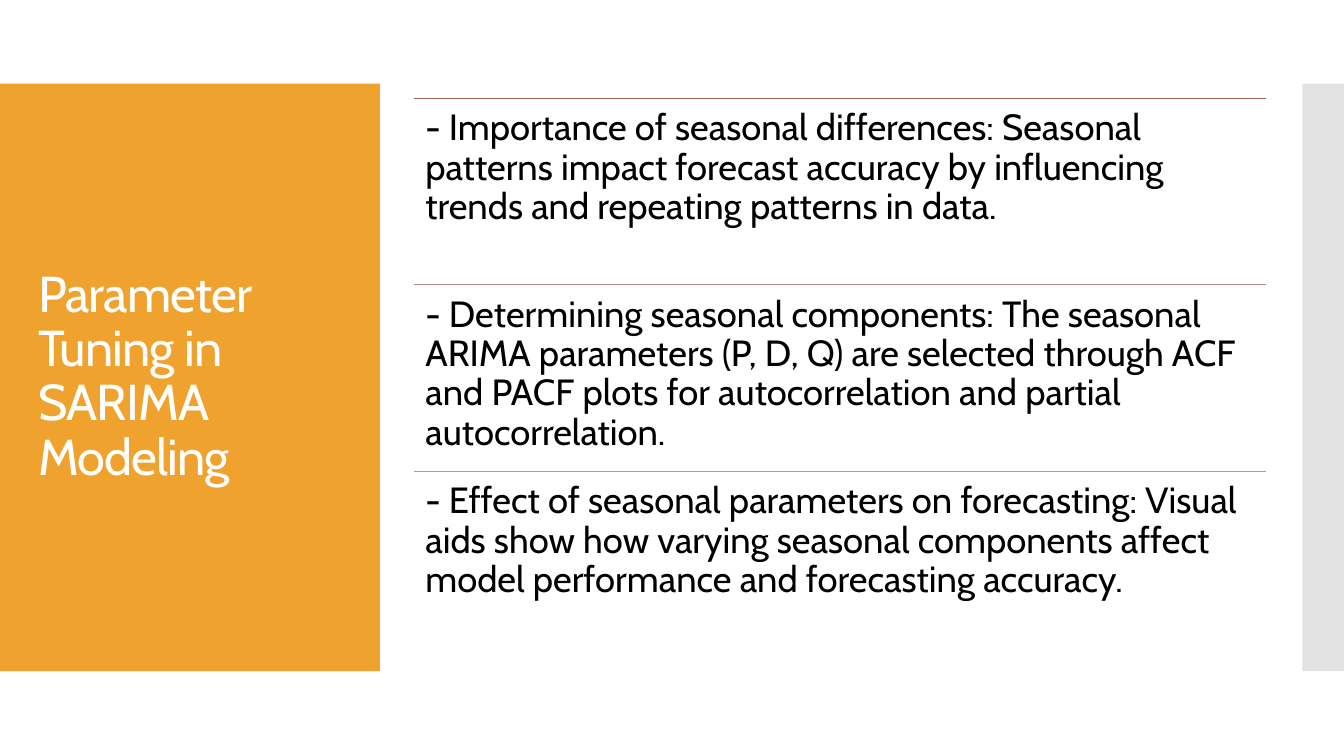
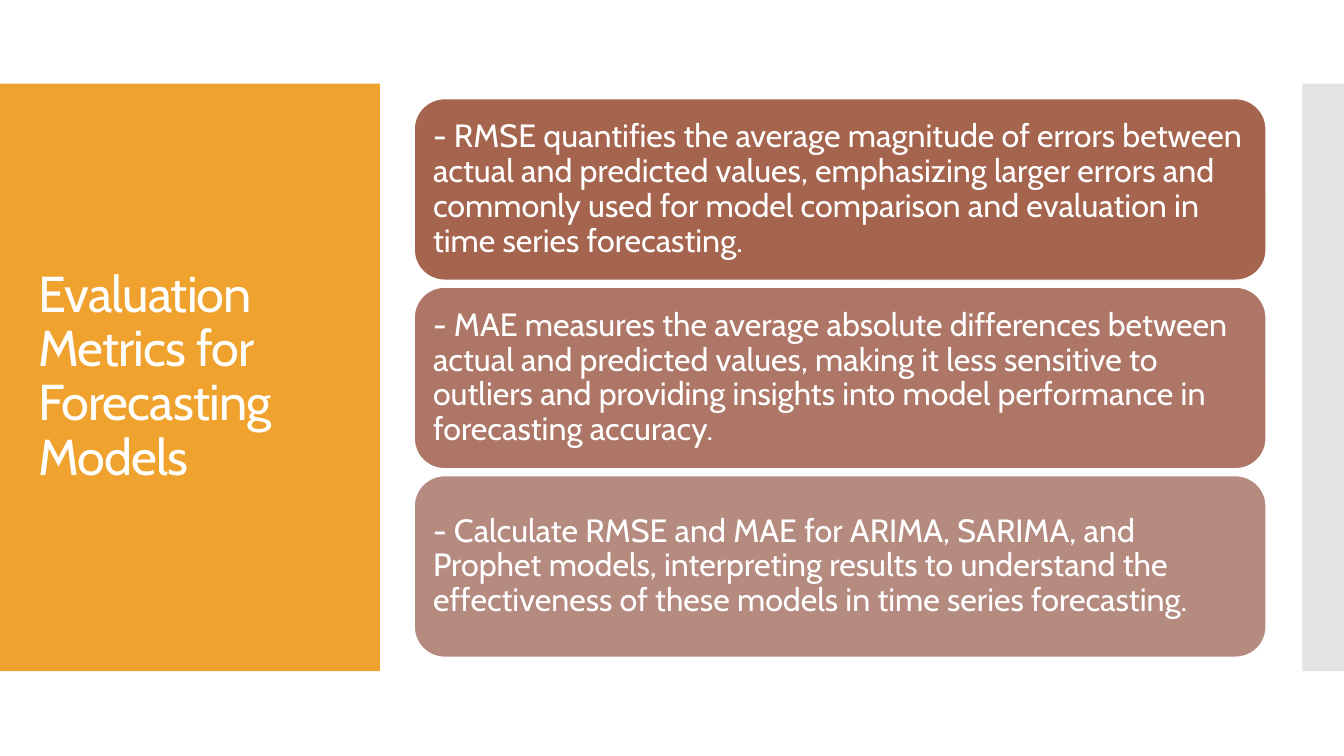
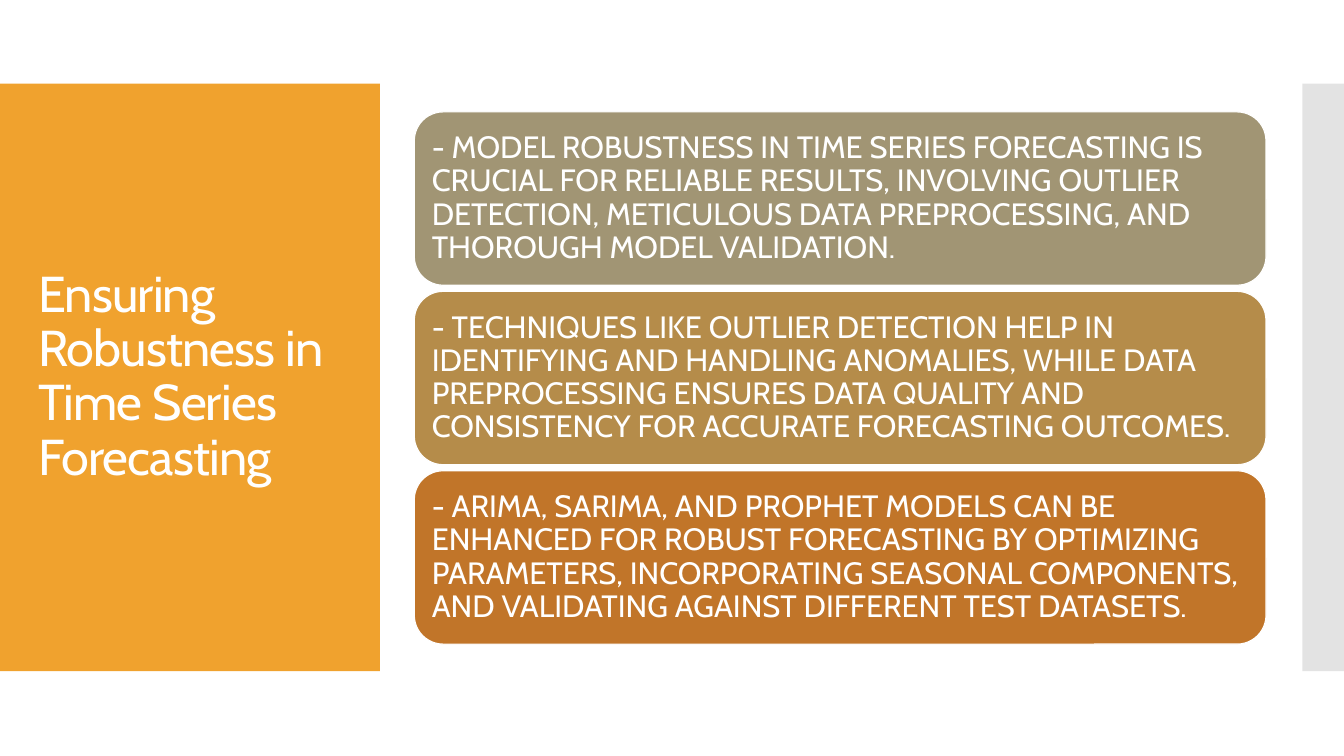
from pptx import Presentation
from pptx.dml.color import RGBColor
from pptx.enum.shapes import MSO_CONNECTOR, MSO_SHAPE
from pptx.enum.text import MSO_ANCHOR, PP_ALIGN
from pptx.oxml.ns import qn
from pptx.util import Pt
from lxml.etree import SubElement

PX = 9144  # 100 px to the inch
FONT = "Cabin"
WHITE = RGBColor(0xFF, 0xFF, 0xFF)
BLACK = RGBColor(0x00, 0x00, 0x00)
ORANGE = RGBColor(0xF0, 0xA2, 0x2E)
GREY = RGBColor(0xC8, 0xC8, 0xC8)
BROWN = RGBColor(0xA5, 0x64, 0x4E)
ROSE = RGBColor(0xAE, 0x76, 0x66)
DUSTY = RGBColor(0xB5, 0x8B, 0x80)
TAN = RGBColor(0xC3, 0x98, 0x6D)
OLIVE = RGBColor(0xA1, 0x95, 0x74)
GOLD = RGBColor(0xB5, 0x8C, 0x4A)
RUST = RGBColor(0xC1, 0x75, 0x29)

BAND_TOP, BAND_H = 83, 583
ROW_LEFT, ROW_W = 411, 845
MIDDLE = 375

# Each slide: title, row style, row height, row step, text size, inset, rows
SLIDES = [
    ("Parameter Tuning in SARIMA Modeling", "ruled", 185, 185, 26, 11, [
        (BROWN, "- Importance of seasonal differences: Seasonal patterns impact forecast "
                "accuracy by influencing trends and repeating patterns in data."),
        (DUSTY, "- Determining seasonal components: The seasonal ARIMA parameters (P, D, Q) "
                "are selected through ACF and PACF plots for autocorrelation and partial "
                "autocorrelation."),
        (TAN, "- Effect of seasonal parameters on forecasting: Visual aids show how varying "
              "seasonal components affect model performance and forecasting accuracy."),
    ]),
    ("Evaluation Metrics for Forecasting Models", "card", 180, 187, 23, 10, [
        (BROWN, "- RMSE quantifies the average magnitude of errors between actual and "
                "predicted values, emphasizing larger errors and commonly used for model "
                "comparison and evaluation in time series forecasting."),
        (ROSE, "- MAE measures the average absolute differences between actual and predicted "
               "values, making it less sensitive to outliers and providing insights into "
               "model performance in forecasting accuracy."),
        (DUSTY, "- Calculate RMSE and MAE for ARIMA, SARIMA, and Prophet models, interpreting "
                "results to understand the effectiveness of these models in time series "
                "forecasting."),
    ]),
    ("Ensuring Robustness in Time Series Forecasting", "card", 172, 178, 22, 9, [
        (OLIVE, "- MODEL ROBUSTNESS IN TIME SERIES FORECASTING IS CRUCIAL FOR RELIABLE "
                "RESULTS, INVOLVING OUTLIER DETECTION, METICULOUS DATA PREPROCESSING, AND "
                "THOROUGH MODEL VALIDATION."),
        (GOLD, "- TECHNIQUES LIKE OUTLIER DETECTION HELP IN IDENTIFYING AND HANDLING "
               "ANOMALIES, WHILE DATA PREPROCESSING ENSURES DATA QUALITY AND CONSISTENCY "
               "FOR ACCURATE FORECASTING OUTCOMES."),
        (RUST, "- ARIMA, SARIMA, AND PROPHET MODELS CAN BE ENHANCED FOR ROBUST FORECASTING "
               "BY OPTIMIZING PARAMETERS, INCORPORATING SEASONAL COMPONENTS, AND VALIDATING "
               "AGAINST DIFFERENT TEST DATASETS."),
    ]),
]


def add_block(s, kind, x, y, w, h, fill):
    sp = s.shapes.add_shape(kind, int(x * PX), int(y * PX), int(w * PX), int(h * PX))
    sp.shadow.inherit = False
    sp.fill.solid()
    sp.fill.fore_color.rgb = fill
    sp.line.fill.background()
    return sp


def write(sp, text, size, color, inset, anchor):
    tf = sp.text_frame
    tf.word_wrap = True
    tf.vertical_anchor = anchor
    tf.margin_left = tf.margin_right = tf.margin_top = tf.margin_bottom = inset * PX
    p = tf.paragraphs[0]
    p.alignment = PP_ALIGN.LEFT
    p.line_spacing = 0.9
    r = p.add_run()
    r.text = text
    r.font.name = FONT
    r.font.size = Pt(size)
    r.font.color.rgb = color
    return r


prs = Presentation()
prs.slide_width, prs.slide_height = 12192000, 6858000

for title, style, row_h, step, size, inset, rows in SLIDES:
    s = prs.slides.add_slide(prs.slide_layouts[6])

    # Side bands
    add_block(s, MSO_SHAPE.RECTANGLE, 0, BAND_TOP, 377, BAND_H, ORANGE)
    strip = add_block(s, MSO_SHAPE.RECTANGLE, 1292, BAND_TOP, 42, BAND_H, GREY)
    tint = strip.fill._xPr.find(qn("a:solidFill"))[0]
    SubElement(tint, qn("a:alpha")).set("val", "50000")

    # Title
    box = s.shapes.add_textbox(28 * PX, 123 * PX, 322 * PX, 503 * PX)
    r = write(box, title, 36, WHITE, 10, MSO_ANCHOR.MIDDLE)
    r.font._element.set("spc", "-60")

    # Rows, centred on the slide's middle
    for i, (color, text) in enumerate(rows):
        top = MIDDLE + (i - 1) * step - row_h / 2
        if style == "card":
            card = add_block(s, MSO_SHAPE.ROUNDED_RECTANGLE, ROW_LEFT, top, ROW_W, row_h, color)
            card.line.color.rgb = WHITE
            card.line.width = Pt(0.85)
            write(card, text, size, WHITE, inset, MSO_ANCHOR.MIDDLE)
        else:
            y = int(top * PX)
            rule = s.shapes.add_connector(MSO_CONNECTOR.STRAIGHT, ROW_LEFT * PX, y,
                                          (ROW_LEFT + ROW_W) * PX, y)
            rule.line.color.rgb = color
            rule.line.width = Pt(0.85)
            SubElement(rule._element.spPr, qn("a:effectLst"))
            box = s.shapes.add_textbox(ROW_LEFT * PX, y, ROW_W * PX, row_h * PX)
            write(box, text, size, BLACK, inset, MSO_ANCHOR.TOP)

prs.save("out.pptx")
